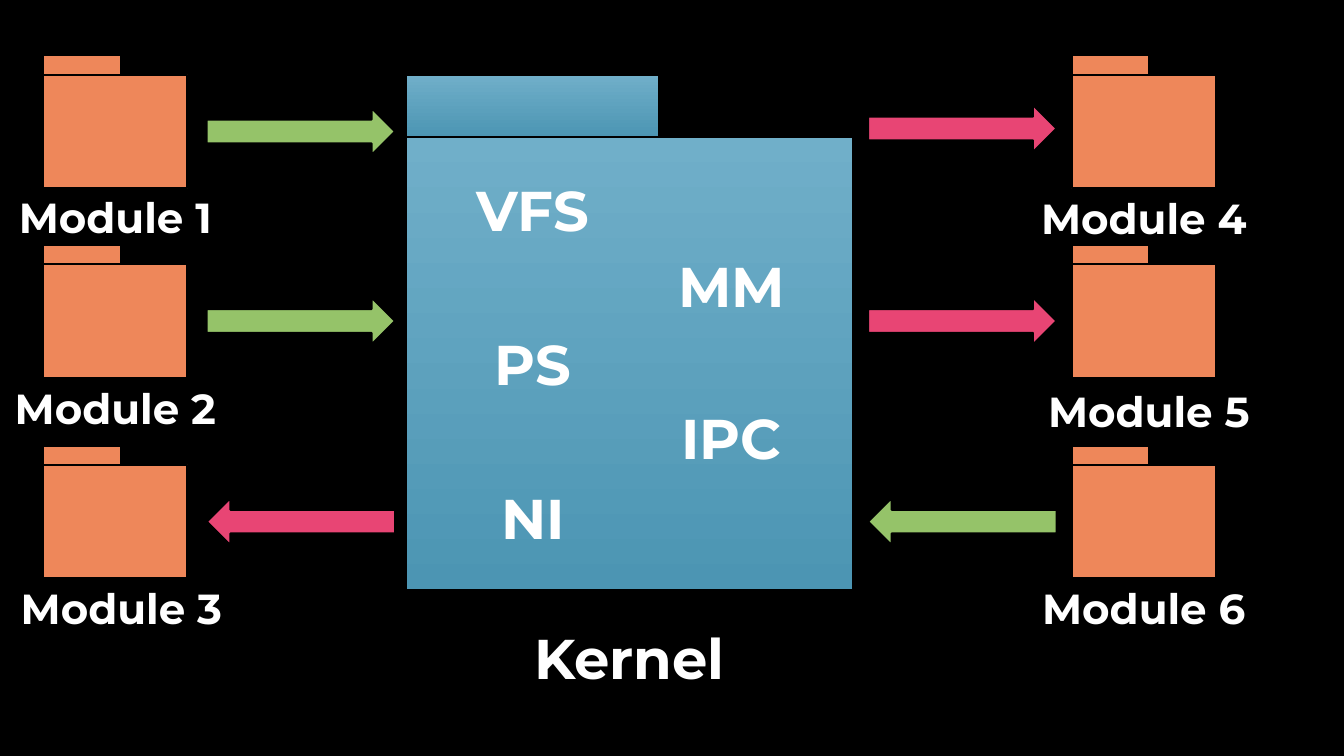
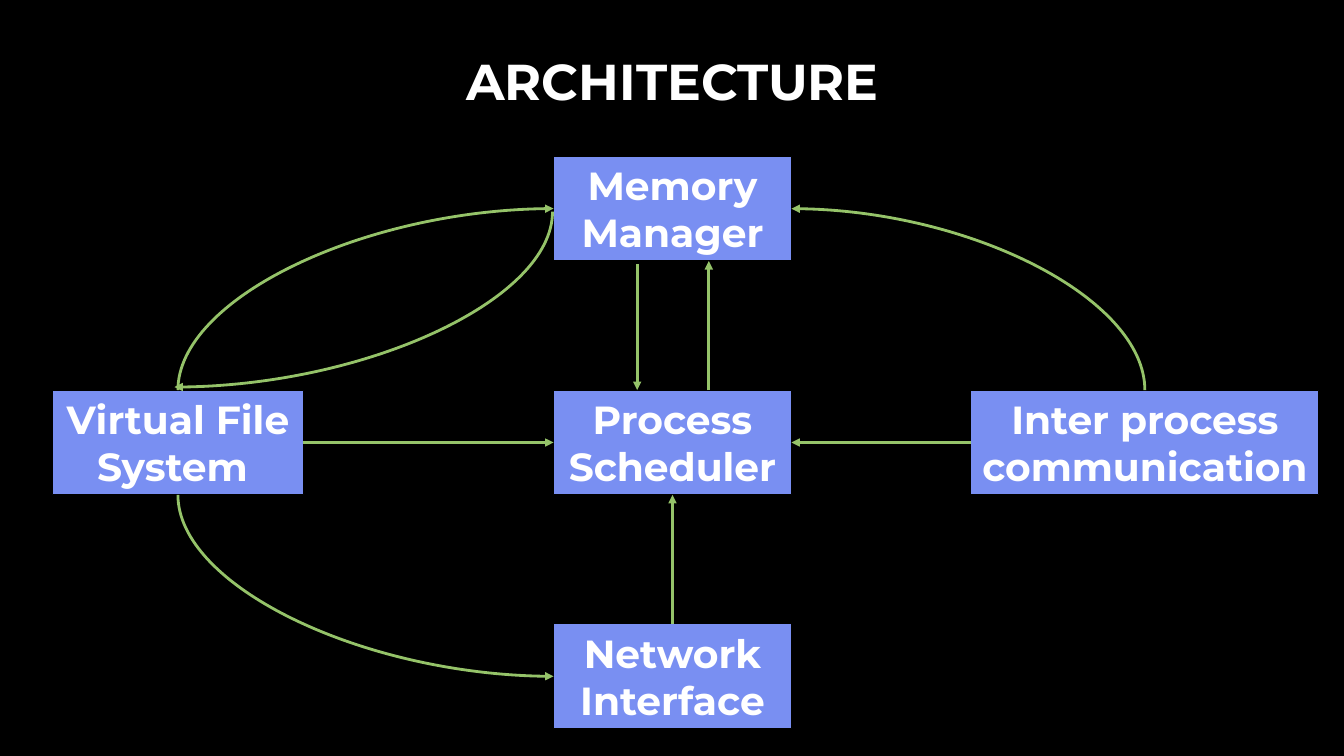
from dataclasses import dataclass

import pptx
import pptx.dml.color
import pptx.enum.dml
import pptx.enum.shapes
import pptx.enum.text
import pptx.oxml.ns
import pptx.util
from lxml import etree
from pptx.util import Inches

COLORS = {
    "background": "000000",
    "text": "FFFFFF",
    "kernel_top": "70AFC9",
    "kernel_bottom": "4C95B3",
    "module": "EE875A",
    "green": "95C369",
    "pink": "E84574",
    "component": "798FF2",
}
FONT = "Montserrat"
PRESETS = pptx.enum.shapes.MSO_SHAPE
CONNECTORS = pptx.enum.shapes.MSO_CONNECTOR
TOP, LEFT, BOTTOM, RIGHT = range(4)


@dataclass(frozen=True)
class Module:
    name: str
    left: float
    top: float
    label_left: float
    label_top: float
    arrow_left: float
    arrow_top: float
    arrow_color: str
    points_left: bool = False


@dataclass(frozen=True)
class Label:
    text: str
    left: float
    top: float


@dataclass(frozen=True)
class Component:
    name: str
    left: float
    top: float
    width: float


@dataclass(frozen=True)
class Link:
    source: str
    source_side: int
    target: str
    target_side: int
    curved: bool = False


MODULES = [
    Module("Module 1", 0.43, 0.55, -0.07, 1.85, 2.05, 1.07, "green"),
    Module("Module 2", 0.43, 2.43, -0.07, 3.75, 2.05, 2.95, "green"),
    Module("Module 3", 0.43, 4.42, -0.01, 5.73, 2.05, 4.94, "pink", True),
    Module("Module 4", 10.63, 0.55, 10.13, 1.86, 8.61, 1.04, "pink"),
    Module("Module 5", 10.63, 2.43, 10.18, 3.78, 8.61, 2.95, "pink"),
    Module("Module 6", 10.63, 4.42, 10.13, 5.73, 8.61, 4.94, "green", True),
]
SUBSYSTEMS = [
    Label("VFS", 4.51, 1.69),
    Label("MM", 6.48, 2.45),
    Label("PS", 4.51, 3.22),
    Label("IPC", 6.48, 3.95),
    Label("NI", 4.51, 4.75),
]
MEMORY = "Memory Manager"
FILES = "Virtual File System "
SCHEDULER = "Process Scheduler"
MESSAGING = "Inter process communication"
NETWORK = "Network Interface"
COMPONENTS = [
    Component(MEMORY, 5.49, 1.55, 2.36),
    Component(FILES, 0.52, 3.87, 2.49),
    Component(SCHEDULER, 5.49, 3.87, 2.36),
    Component(MESSAGING, 9.63, 3.87, 3.45),
    Component(NETWORK, 5.49, 6.19, 2.36),
]
LINKS = [
    Link(FILES, TOP, MEMORY, LEFT, True),
    Link(NETWORK, TOP, SCHEDULER, BOTTOM),
    Link(FILES, RIGHT, SCHEDULER, LEFT),
    Link(MESSAGING, LEFT, SCHEDULER, RIGHT),
    Link(FILES, BOTTOM, NETWORK, LEFT, True),
    Link(MESSAGING, TOP, MEMORY, RIGHT, True),
]


def color(name: str) -> pptx.dml.color.RGBColor:
    return pptx.dml.color.RGBColor.from_string(COLORS[name])


def add_page(deck):
    page = deck.slides.add_slide(deck.slide_layouts[6])
    page.background.fill.solid()
    page.background.fill.fore_color.rgb = color("background")
    return page


def write(box, text: str, size: float) -> None:
    frame = box.text_frame
    frame.word_wrap = True
    frame.text = text
    for para in frame.paragraphs:
        para.alignment = pptx.enum.text.PP_ALIGN.CENTER
        for span in para.runs:
            span.font.name = FONT
            span.font.size = pptx.util.Pt(size)
            span.font.bold = True
            span.font.color.rgb = color("text")


def add_label(page, text: str, left: float, top: float, width: float, height: float, size: float):
    box = page.shapes.add_textbox(Inches(left), Inches(top), Inches(width), Inches(height))
    write(box, text, size)
    return box


def add_block(page, left: float, top: float, width: float, height: float, fill: str,
              line_width: float = 1.5, preset=PRESETS.RECTANGLE):
    block = page.shapes.add_shape(preset, Inches(left), Inches(top), Inches(width), Inches(height))
    block.shadow.inherit = False
    block.fill.solid()
    block.fill.fore_color.rgb = color(fill)
    block.line.color.rgb = color("background")
    block.line.width = pptx.util.Pt(line_width)
    return block


def add_kernel_part(page, top: float, width: float, height: float) -> None:
    part = add_block(page, 4.03, top, width, height, "kernel_top")
    part.fill.gradient()
    part.fill.gradient_angle = 270
    for stop, name, position in zip(part.fill.gradient_stops, ("kernel_top", "kernel_bottom"), (0, 1)):
        stop.color.rgb = color(name)
        stop.position = position


def add_module(page, module: Module) -> None:
    add_block(page, module.left, module.top, 0.77, 0.19, "module")
    add_block(page, module.left, module.top + 0.19, 1.43, 1.13, "module")
    arrow = add_block(page, module.arrow_left, module.arrow_top, 1.87, 0.47,
                      module.arrow_color, preset=PRESETS.RIGHT_ARROW)
    arrow.rotation = 180 if module.points_left else 0
    add_label(page, module.name, module.label_left, module.label_top, 2.43, 0.61, 30)


def add_arrow(page, kind, start_x: float, start_y: float, end_x: float, end_y: float):
    arrow = page.shapes.add_connector(kind, Inches(start_x), Inches(start_y), Inches(end_x), Inches(end_y))
    arrow.line.color.rgb = color("green")
    arrow.line.width = pptx.util.Pt(2)
    line = arrow.line._get_or_add_ln()
    etree.SubElement(line, pptx.oxml.ns.qn("a:tailEnd"), type="triangle")
    etree.SubElement(arrow._element.spPr, pptx.oxml.ns.qn("a:effectLst"))
    return arrow


def bend_from_vertical(arrow) -> None:
    start_x, start_y, end_x, end_y = arrow.begin_x, arrow.begin_y, arrow.end_x, arrow.end_y
    middle_x, middle_y = (start_x + end_x) // 2, (start_y + end_y) // 2
    half_x, half_y = (end_x - start_x) // 2, (end_y - start_y) // 2
    arrow.begin_x, arrow.begin_y = middle_x - half_y, middle_y + half_x
    arrow.end_x, arrow.end_y = middle_x + half_y, middle_y - half_x
    properties = arrow._element.spPr
    properties.find(pptx.oxml.ns.qn("a:xfrm")).set("rot", "5400000")
    properties.find(pptx.oxml.ns.qn("a:prstGeom")).set("prst", "curvedConnector2")


def add_link(page, link: Link, boxes: dict) -> None:
    kind = CONNECTORS.CURVE if link.curved else CONNECTORS.STRAIGHT
    arrow = add_arrow(page, kind, 0, 0, 1, 1)
    arrow.begin_connect(boxes[link.source], link.source_side)
    arrow.end_connect(boxes[link.target], link.target_side)
    if link.curved:
        bend_from_vertical(arrow)


def draw_modules_page(deck) -> None:
    page = add_page(deck)
    add_kernel_part(page, 0.74, 2.51, 0.62)
    add_kernel_part(page, 1.36, 4.43, 4.49)
    add_label(page, "Kernel", 4.03, 6.14, 4.43, 0.77, 40)
    for module in MODULES:
        add_module(page, module)
    for label in SUBSYSTEMS:
        add_label(page, label.text, label.left, label.top, 1.55, 0.77, 40)


def draw_architecture_page(deck) -> None:
    page = add_page(deck)
    title = add_label(page, "ARCHITECTURE", 1.13, 0, 11.08, 1.59, 36)
    title.text_frame.vertical_anchor = pptx.enum.text.MSO_ANCHOR.MIDDLE
    boxes = {}
    for component in COMPONENTS:
        box = add_block(page, component.left, component.top, component.width, 1.04, "component", 0.75)
        write(box, component.name, 28)
        box.text_frame.vertical_anchor = pptx.enum.text.MSO_ANCHOR.MIDDLE
        boxes[component.name] = box
    for link in LINKS:
        add_link(page, link, boxes)
    add_arrow(page, CONNECTORS.STRAIGHT, 7.03, 3.87, 7.03, 2.59)
    add_arrow(page, CONNECTORS.STRAIGHT, 6.32, 2.62, 6.32, 3.87)
    bend_from_vertical(add_arrow(page, CONNECTORS.CURVE, 5.48, 2.1, 1.73, 3.84))


def main() -> None:
    deck = pptx.Presentation()
    deck.slide_width, deck.slide_height = Inches(13.33), Inches(7.5)
    draw_modules_page(deck)
    draw_architecture_page(deck)
    deck.save("out.pptx")


if __name__ == "__main__":
    main()
